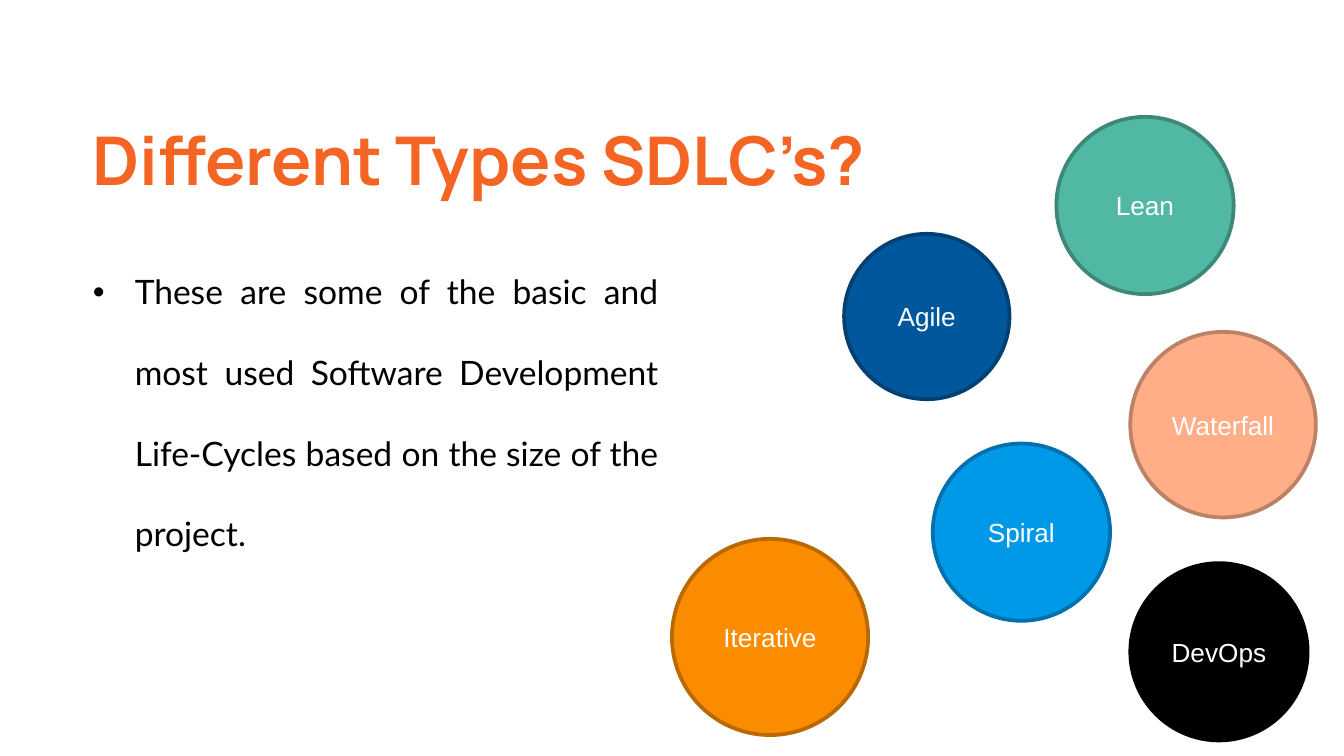
from dataclasses import dataclass

from lxml import etree
from pptx import Presentation
from pptx.dml.color import RGBColor
from pptx.enum.shapes import MSO_SHAPE
from pptx.enum.text import MSO_ANCHOR, MSO_AUTO_SIZE, PP_ALIGN
from pptx.oxml.ns import qn
from pptx.shapes.autoshape import Shape
from pptx.slide import Slide
from pptx.text.text import Font
from pptx.util import Pt

OVAL = MSO_SHAPE.OVAL
TOP, MIDDLE = MSO_ANCHOR.TOP, MSO_ANCHOR.MIDDLE
LEFT, CENTER, JUSTIFY = PP_ALIGN.LEFT, PP_ALIGN.CENTER, PP_ALIGN.JUSTIFY
NO_AUTOFIT = MSO_AUTO_SIZE.NONE

COLORS = {
    "heading": "F46524",
    "text": "000000",
    "label": "FFFFFF",
    "navy": "01579B",
    "navy line": "014073",
    "teal": "51B9A3",
    "teal line": "3C8979",
    "peach": "FFAE88",
    "peach line": "BD8165",
    "orange": "FB8C00",
    "orange line": "BA6800",
    "blue": "0099E8",
    "blue line": "0071AC",
    "black": "000000",
    "black line": "000000",
}


@dataclass
class Circle:
    label: str
    left: float
    top: float
    diameter: float
    color: str


@dataclass
class TextBlock:
    text: str
    left: float
    top: float
    width: float
    height: float
    font: str
    size: float
    color: str
    bold: bool
    alignment: PP_ALIGN
    line_spacing: float


CIRCLES = [
    Circle("Agile", 452.2, 125.3, 88.6, "navy"),
    Circle("Lean", 565.9, 62.6, 95, "teal"),
    Circle("Waterfall", 605.5, 177.8, 99.4, "peach"),
    Circle("Iterative", 360, 288.7, 105.1, "orange"),
    Circle("Spiral", 499.7, 237.6, 95, "blue"),
    Circle("DevOps", 605.5, 301.7, 95, "black"),
]

HEADING = TextBlock(
    "Different Types SDLC’s?", 42.5, 56.2, 447.1, 60.5,
    "Manrope", 36, "heading", True, LEFT, 1,
)
BODY = TextBlock(
    "These are some of the basic and most used Software Development "
    "Life-Cycles based on the size of the project.",
    42.5, 116.6, 317.5, 241.2, "Lato", 18, "text", False, JUSTIFY, 2,
)


def rgb(name: str) -> RGBColor:
    return RGBColor.from_string(COLORS[name])


def format_font(font: Font, name: str, size: float, color: str, bold: bool = False) -> None:
    font.name = name
    font.size = Pt(size)
    font.bold = bold
    font.color.rgb = rgb(color)


def fill_placeholder(shape: Shape, block: TextBlock) -> None:
    shape.left, shape.top = Pt(block.left), Pt(block.top)
    shape.width, shape.height = Pt(block.width), Pt(block.height)
    frame = shape.text_frame
    frame.text = block.text
    frame.word_wrap = True
    frame.auto_size = NO_AUTOFIT
    frame.vertical_anchor = TOP
    frame.margin_left = frame.margin_right = Pt(7.2)
    frame.margin_top = frame.margin_bottom = Pt(7.2)
    paragraph = frame.paragraphs[0]
    paragraph.alignment = block.alignment
    paragraph.line_spacing = block.line_spacing
    paragraph.space_before = Pt(0)
    paragraph.space_after = Pt(16)
    format_font(paragraph.runs[0].font, block.font, block.size, block.color, block.bold)


def add_bullet(shape: Shape, indent: float) -> None:
    properties = shape.text_frame.paragraphs[0]._p.get_or_add_pPr()
    properties.set("marL", str(Pt(indent)))
    properties.set("indent", str(Pt(-indent)))
    color = etree.SubElement(properties, qn("a:buClr"))
    etree.SubElement(color, qn("a:srgbClr"), val=COLORS["text"])
    etree.SubElement(properties, qn("a:buFont"), typeface="Arial")
    etree.SubElement(properties, qn("a:buChar"), char="•")


def add_circle(slide: Slide, circle: Circle) -> None:
    shape = slide.shapes.add_shape(
        OVAL, Pt(circle.left), Pt(circle.top), Pt(circle.diameter), Pt(circle.diameter)
    )
    shape.shadow.inherit = False
    shape.fill.solid()
    shape.fill.fore_color.rgb = rgb(circle.color)
    shape.line.color.rgb = rgb(f"{circle.color} line")
    shape.line.width = Pt(2)
    frame = shape.text_frame
    frame.text = circle.label
    frame.vertical_anchor = MIDDLE
    paragraph = frame.paragraphs[0]
    paragraph.alignment = CENTER
    format_font(paragraph.runs[0].font, "Arial", 14, "label")


def main() -> None:
    presentation = Presentation()
    presentation.slide_width = Pt(720)
    presentation.slide_height = Pt(405)
    slide = presentation.slides.add_slide(presentation.slide_layouts[1])
    fill_placeholder(slide.shapes.title, HEADING)
    body = slide.placeholders[1]
    fill_placeholder(body, BODY)
    add_bullet(body, 22.5)
    for circle in CIRCLES:
        add_circle(slide, circle)
    presentation.save("out.pptx")


if __name__ == "__main__":
    main()
